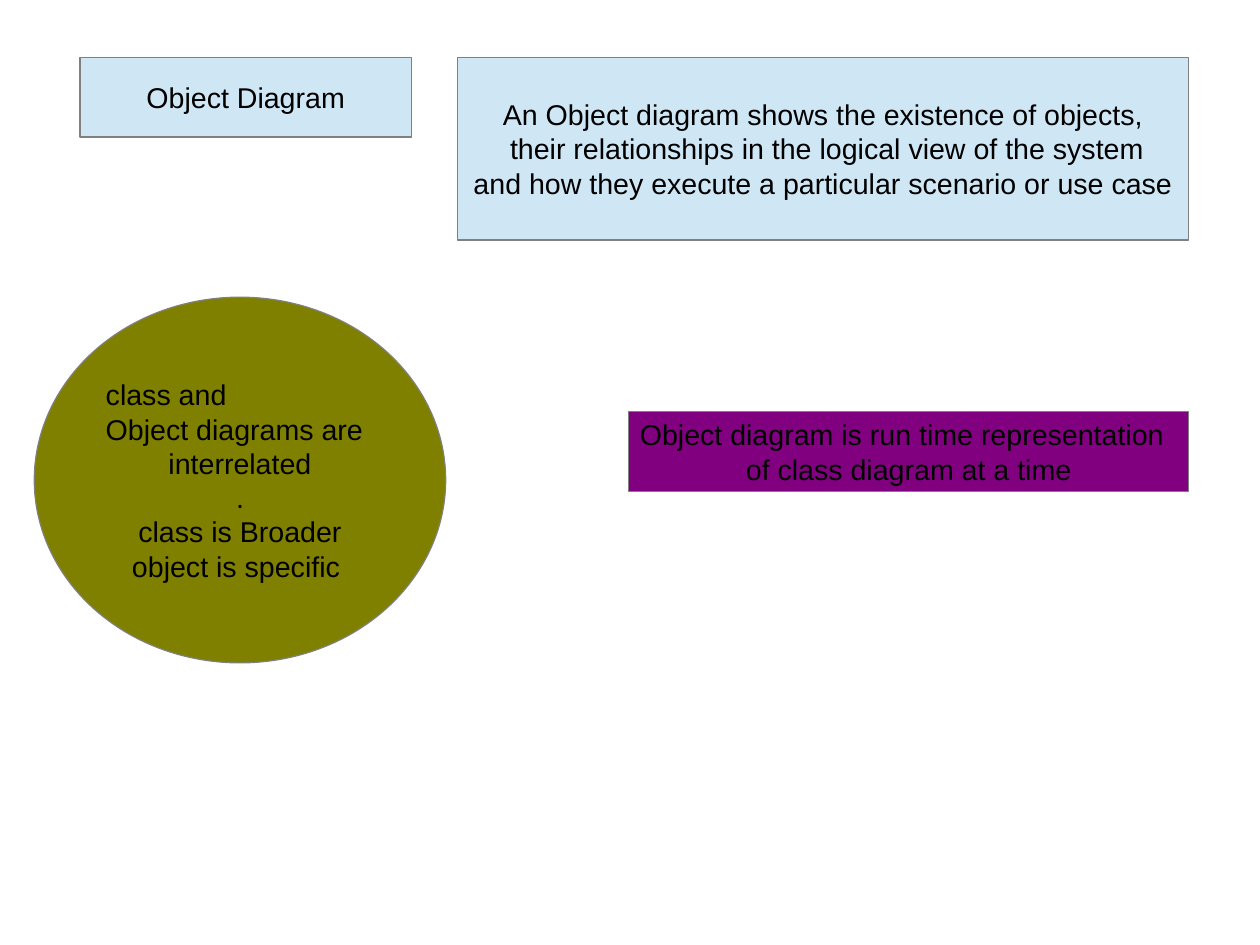
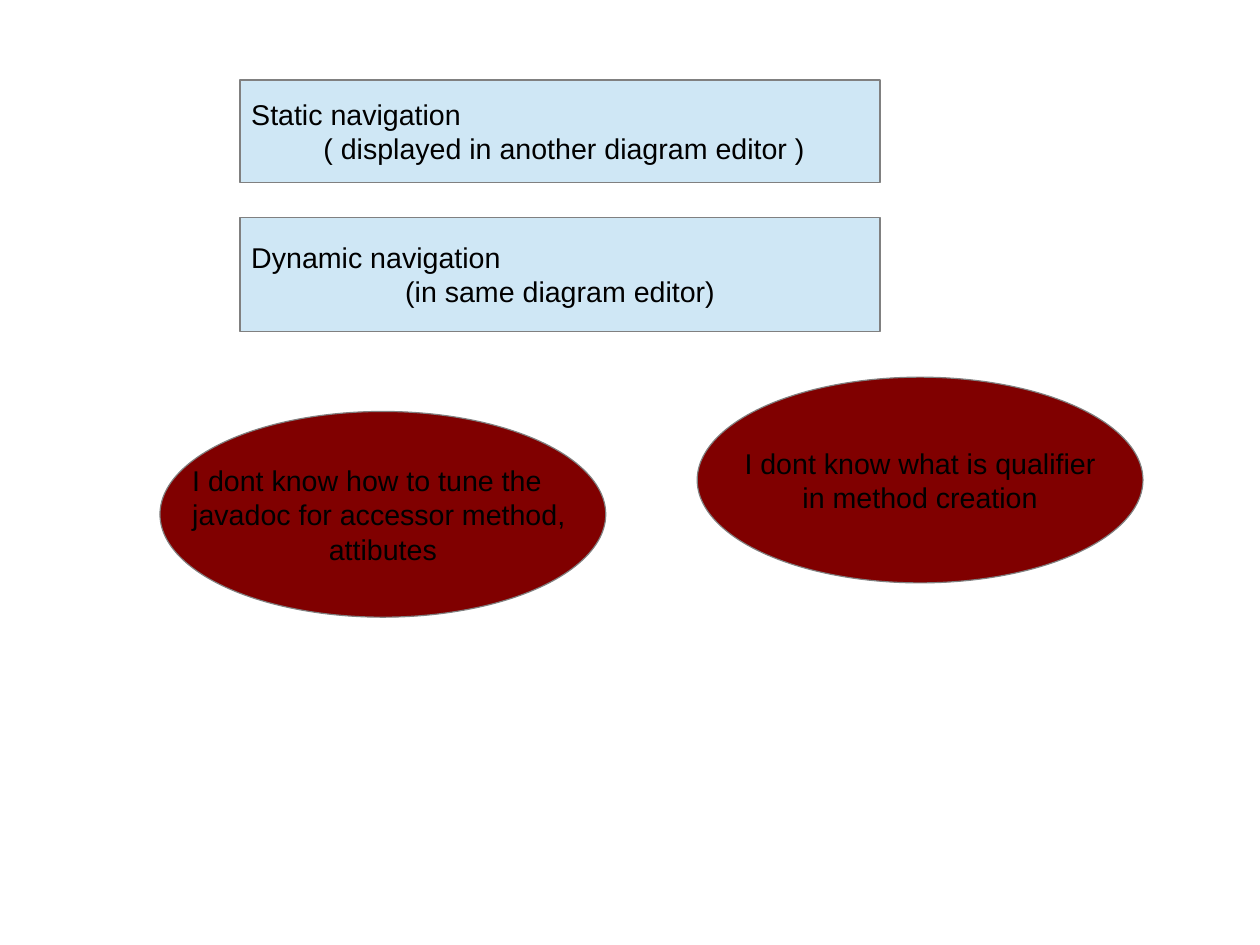
from pptx import Presentation
from pptx.dml.color import RGBColor
from pptx.enum.shapes import MSO_SHAPE
from pptx.enum.text import MSO_ANCHOR, PP_ALIGN
from pptx.util import Inches, Pt

RECT, OVAL = MSO_SHAPE.RECTANGLE, MSO_SHAPE.OVAL
LEFT, CENTER = PP_ALIGN.LEFT, PP_ALIGN.CENTER
MIDDLE = MSO_ANCHOR.MIDDLE

PALE_BLUE = RGBColor(0xCF, 0xE7, 0xF5)
OLIVE = RGBColor(0x80, 0x80, 0x00)
PURPLE = RGBColor(0x80, 0x00, 0x80)
MAROON = RGBColor(0x80, 0x00, 0x00)
GRAY = RGBColor(0x80, 0x80, 0x80)
BLACK = RGBColor(0x00, 0x00, 0x00)

FONT = "Arial"
CM_PER_INCH = 2.54
SLIDE_W, SLIDE_H = 28 / CM_PER_INCH, 21 / CM_PER_INCH


def write_lines(tf, paragraphs, left_count=0, center_block=False, size=18,
                color=BLACK):
    tf.word_wrap = False
    tf.vertical_anchor = MIDDLE
    if center_block:
        tf._txBody.bodyPr.set("anchorCtr", "1")
    for i, text in enumerate(paragraphs):
        p = tf.paragraphs[0] if i == 0 else tf.add_paragraph()
        p.alignment = LEFT if i < left_count else CENTER
        for j, line in enumerate(text.split("\n")):
            if j:
                p.add_line_break()
            r = p.add_run()
            r.text = line
            r.font.name = FONT
            r.font.size = Pt(size)
            r.font.color.rgb = color


def add_node(s, kind, box, fill, paragraphs, **text_format):
    sp = s.shapes.add_shape(kind, *(Inches(v) for v in box))
    sp.shadow.inherit = False
    sp.fill.solid()
    sp.fill.fore_color.rgb = fill
    sp.line.color.rgb = GRAY
    sp.line.width = Pt(0.75)
    write_lines(sp.text_frame, paragraphs, **text_format)


def add_definition(s, x, y, w):
    add_node(s, RECT, (x, y, 2.9, 0.7), PALE_BLUE, ["Object Diagram"])
    add_node(s, RECT, (x + 3.3, y, w - 3.3, 1.6), PALE_BLUE, [
        "An Object diagram shows the existence of objects,",
        " their relationships in the logical view of the system",
        "and how they execute a particular scenario or use case"])


def add_comparison(s, x, y, w):
    add_node(s, OVAL, (x, y, 3.6, 3.2), OLIVE, [
        "class and ", "Object diagrams are", "interrelated", ".",
        "class is Broader\nobject is specific "], left_count=2)
    add_node(s, RECT, (x + w - 4.9, y + 1, 4.9, 0.7), PURPLE, [
        "Object diagram is run time representation ",
        "of class diagram at a time"], left_count=1)


def add_navigation(s, x, y, w):
    add_node(s, RECT, (x, y, w, 0.9), PALE_BLUE, [
        "Static navigation", " ( displayed in another diagram editor )"],
        left_count=1)
    add_node(s, RECT, (x, y + 1.2, w, 1), PALE_BLUE, [
        "Dynamic navigation", "(in same diagram editor)"], left_count=1)


def add_questions(s, x, y, w):
    oval_w, oval_h = 3.9, 1.8
    add_node(s, OVAL, (x, y + 0.3, oval_w, oval_h), MAROON, [
        "I dont know how to tune the ", "javadoc for accessor method, ",
        "attibutes"], left_count=2, center_block=True)
    add_node(s, OVAL, (x + w - oval_w, y, oval_w, oval_h), MAROON, [
        "I dont know what is qualifier\nin method creation"])


def main():
    prs = Presentation()
    prs.slide_width, prs.slide_height = Inches(SLIDE_W), Inches(SLIDE_H)
    blank = prs.slide_layouts[6]

    s = prs.slides.add_slide(blank)
    add_definition(s, 0.7, 0.5, 9.7)
    add_comparison(s, 0.3, 2.6, 10.1)

    s = prs.slides.add_slide(blank)
    add_navigation(s, 2.1, 0.7, 5.6)
    add_questions(s, 1.4, 3.3, 8.6)

    prs.save("out.pptx")


if __name__ == "__main__":
    main()
